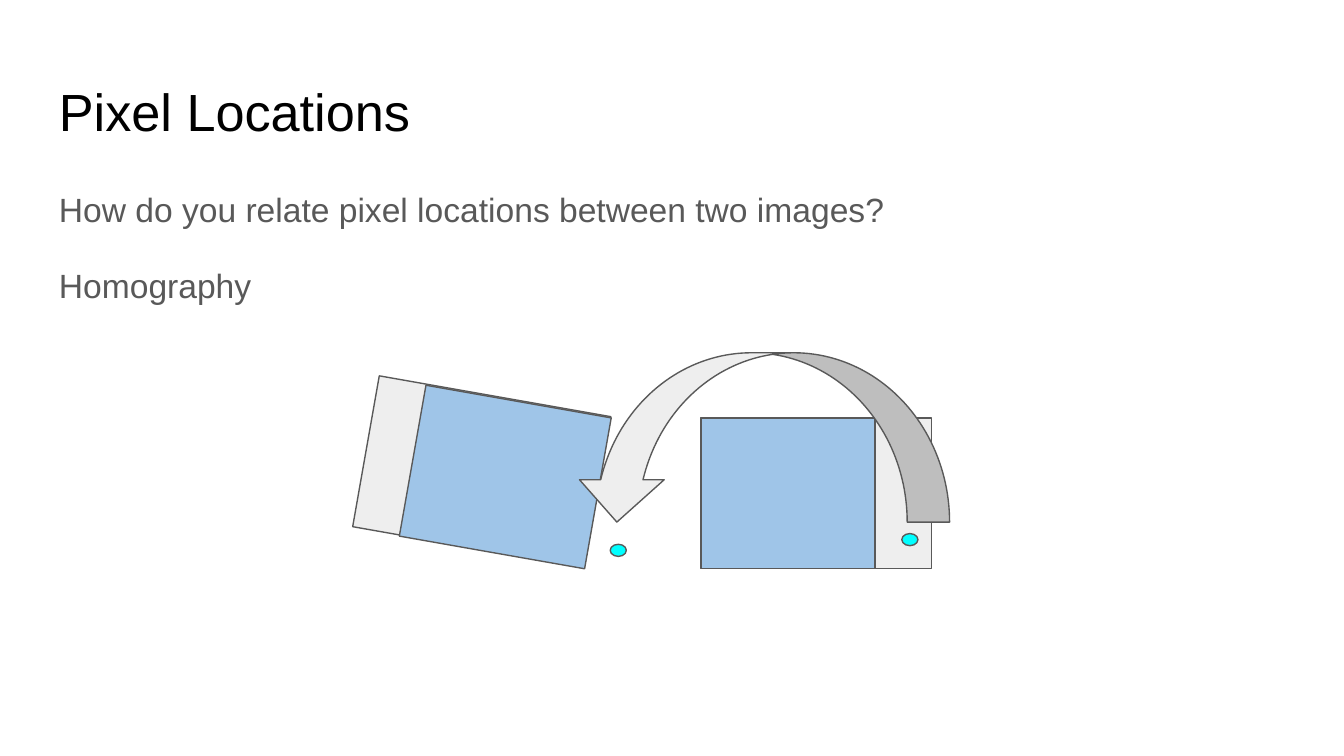
from dataclasses import dataclass
from pptx import Presentation
from pptx.dml.color import RGBColor
from pptx.enum.shapes import MSO_SHAPE
from pptx.enum.text import MSO_ANCHOR
from pptx.slide import Slide
from pptx.util import Inches, Pt

BLACK = RGBColor(0x00, 0x00, 0x00)
GRAY = RGBColor(0x59, 0x59, 0x59)
PALE = RGBColor(0xEE, 0xEE, 0xEE)
BLUE = RGBColor(0x9F, 0xC5, 0xE8)
CYAN = RGBColor(0x00, 0xFF, 0xFF)


@dataclass
class Deck:
    slide: Slide
    font: str = "Arial"
    line: float = 0.75

    def text(self, box, lines, size, color, space=None, gap=0):
        frame = self.slide.shapes.add_textbox(*map(Inches, box)).text_frame
        frame.word_wrap = True
        frame.vertical_anchor = MSO_ANCHOR.TOP
        frame.margin_left = frame.margin_right = Inches(0.1)
        frame.margin_top = frame.margin_bottom = Inches(0.1)
        for i, line in enumerate(lines):
            para = frame.paragraphs[0] if i == 0 else frame.add_paragraph()
            para.line_spacing = space
            if i:
                para.space_before = para.space_after = Pt(gap)
            run = para.add_run()
            run.text = line
            run.font.name = self.font
            run.font.size = Pt(size)
            run.font.color.rgb = color

    def shape(self, kind, box, fill, turn=0):
        shape = self.slide.shapes.add_shape(kind, *map(Inches, box))
        shape.shadow.inherit = False
        shape.rotation = turn
        shape.fill.solid()
        shape.fill.fore_color.rgb = fill
        shape.line.color.rgb = GRAY
        shape.line.width = Pt(self.line)
        return shape


def main():
    show = Presentation()
    show.slide_width = Inches(10)
    show.slide_height = Inches(10 * 9 / 16)
    deck = Deck(show.slides.add_slide(show.slide_layouts[6]))

    deck.text((0.34, 0.49, 9.32, 0.63), ["Pixel Locations"], 28, BLACK)
    body = ["How do you relate pixel locations between two images?", "Homography"]
    deck.text((0.34, 1.26, 9.32, 3.74), body, 18, GRAY, space=1.15, gap=16)

    frames = [
        ((2.71, 2.94, 1.75, 1.14), PALE, 10),
        ((5.21, 3.11, 1.72, 1.12), PALE, 0),
        ((3.06, 2.98, 1.4, 1.14), BLUE, 10),
        ((5.22, 3.11, 1.29, 1.12), BLUE, 0),
    ]
    for box, fill, turn in frames:
        deck.shape(MSO_SHAPE.RECTANGLE, box, fill, turn)

    for left, top in [(4.54, 4.05), (6.71, 3.97)]:
        deck.shape(MSO_SHAPE.OVAL, (left, top, 0.12, 0.09), CYAN)

    arrow = deck.shape(MSO_SHAPE.CURVED_RIGHT_ARROW, (5.04, 1.86, 1.26, 2.79), PALE, 90)
    for i, value in enumerate([0.25, 0.5, 0.25]):
        arrow.adjustments[i] = value

    show.save("out.pptx")


if __name__ == "__main__":
    main()
